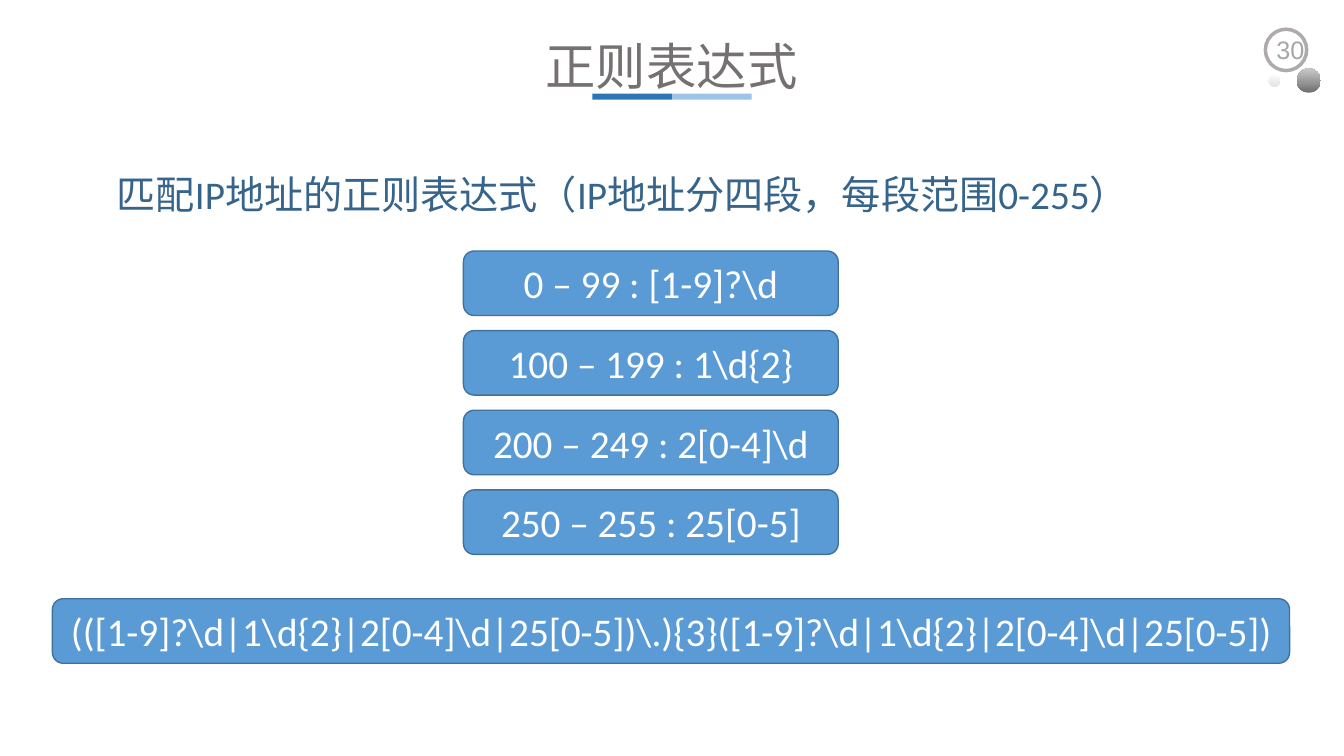
import dataclasses

import pptx
import pptx.dml.color
import pptx.enum.shapes
import pptx.enum.text
import pptx.util
from pptx.util import Inches

SHAPE = pptx.enum.shapes.MSO_SHAPE
ALIGN = pptx.enum.text.PP_ALIGN
ANCHOR = pptx.enum.text.MSO_ANCHOR


@dataclasses.dataclass(frozen=True)
class Theme:
    """Colours, fonts and type sizes of the slide."""
    body_font: str = "Calibri"
    number_font: str = "Arial"
    title_size: int = 36
    body_size: int = 28
    number_size: int = 18
    title: str = "767171"
    heading: str = "36648B"
    number: str = "A6A6A6"
    white: str = "FFFFFF"
    ring: str = "AFABAB"
    dark_bar: str = "2E75B6"
    light_bar: str = "9DC3E6"
    box: str = "5B9BD5"
    box_line: str = "41719C"
    dark_dot: tuple = ("6F6F6F", "C9C9C9")
    light_dot: tuple = ("FAFAFA", "E4E4E4")


THEME = Theme()


def rgb(color):
    """Return the colour object for a hexadecimal string."""
    return pptx.dml.color.RGBColor.from_string(color)


def write(shape, text, size, color, font=THEME.body_font, align=ALIGN.LEFT,
          anchor=ANCHOR.TOP, spacing=1.0):
    """Put one formatted paragraph into a shape."""
    frame = shape.text_frame
    frame.text = text
    frame.word_wrap = True
    frame.auto_size = pptx.enum.text.MSO_AUTO_SIZE.NONE
    frame.vertical_anchor = anchor
    paragraph = frame.paragraphs[0]
    paragraph.alignment = align
    paragraph.line_spacing = spacing
    run = paragraph.runs[0]
    run.font.name = font
    run.font.size = pptx.util.Pt(size)
    run.font.color.rgb = rgb(color)


def add_shape(slide, kind, left, top, width, height, fill, line=None, line_width=1):
    """Add a flat preset shape with an optional outline."""
    shape = slide.shapes.add_shape(
        kind, Inches(left), Inches(top), Inches(width), Inches(height))
    shape.shadow.inherit = False
    shape.fill.solid()
    shape.fill.fore_color.rgb = rgb(fill)
    if line:
        shape.line.color.rgb = rgb(line)
        shape.line.width = pptx.util.Pt(line_width)
    else:
        shape.line.fill.background()
    return shape


def add_dot(slide, left, top, diameter, colors, angle):
    """Add a circle with a two-colour gradient."""
    dot = add_shape(slide, SHAPE.OVAL, left, top, diameter, diameter, colors[0])
    dot.fill.gradient()
    dot.fill.gradient_angle = angle
    for stop, color, position in zip(dot.fill.gradient_stops, colors, (0, 1)):
        stop.color.rgb = rgb(color)
        stop.position = position


def add_text(slide, left, top, width, height, text, size, color, **style):
    """Add a text box with one paragraph."""
    box = slide.shapes.add_textbox(
        Inches(left), Inches(top), Inches(width), Inches(height))
    write(box, text, size, color, **style)


def add_pattern_box(slide, left, top, width, text):
    """Add a rounded box that holds one pattern."""
    box = add_shape(slide, SHAPE.ROUNDED_RECTANGLE, left, top, width, 0.64,
                    THEME.box, THEME.box_line)
    write(box, text, THEME.body_size, THEME.white,
          align=ALIGN.CENTER, anchor=ANCHOR.MIDDLE)


def add_title(slide, text):
    """Place the title and the two-tone bar beneath it."""
    title = slide.shapes.title
    title.left, title.top = Inches(3.81), Inches(0)
    title.width, title.height = Inches(5.71), Inches(1)
    write(title, text, THEME.title_size, THEME.title,
          align=ALIGN.CENTER, spacing=1.5)
    for index, color in enumerate((THEME.dark_bar, THEME.light_bar)):
        add_shape(slide, SHAPE.RECTANGLE, 5.88 + index * 0.79, 0.93, 0.79, 0.06, color)


def add_page_badge(slide, number):
    """Add the page number with its ring and dots."""
    add_shape(slide, SHAPE.OVAL, 12.56, 0.29, 0.41, 0.41, THEME.white, THEME.ring, 2.5)
    add_dot(slide, 12.87, 0.68, 0.24, THEME.dark_dot, 90)
    add_dot(slide, 12.59, 0.74, 0.12, THEME.light_dot, 270)
    add_text(slide, 12.57, 0.29, 0.55, 0.4, number, THEME.number_size, THEME.number,
             font=THEME.number_font)


def main():
    """Build the slide and save it."""
    presentation = pptx.Presentation()
    presentation.slide_width = Inches(13.34)
    presentation.slide_height = Inches(7.5)
    slide = presentation.slides.add_slide(presentation.slide_layouts[5])

    add_page_badge(slide, "30")
    add_title(slide, "正则表达式")
    add_text(slide, 1.06, 1.41, 11.22, 0.8,
             "匹配IP地址的正则表达式（IP地址分四段，每段范围0-255）",
             THEME.body_size, THEME.heading, spacing=1.5)

    ranges = (
        ("0 – 99", r"[1-9]?\d"),
        ("100 – 199", r"1\d{2}"),
        ("200 – 249", r"2[0-4]\d"),
        ("250 – 255", "25[0-5]"),
    )
    for index, (numbers, pattern) in enumerate(ranges):
        add_pattern_box(slide, 4.6, 2.49 + index * 0.79, 3.72, f"{numbers} : {pattern}")

    segment = "|".join(pattern for numbers, pattern in ranges)
    add_pattern_box(slide, 0.52, 5.94, 12.28, rf"(({segment})\.){{3}}({segment})")

    presentation.save("out.pptx")


if __name__ == "__main__":
    main()
